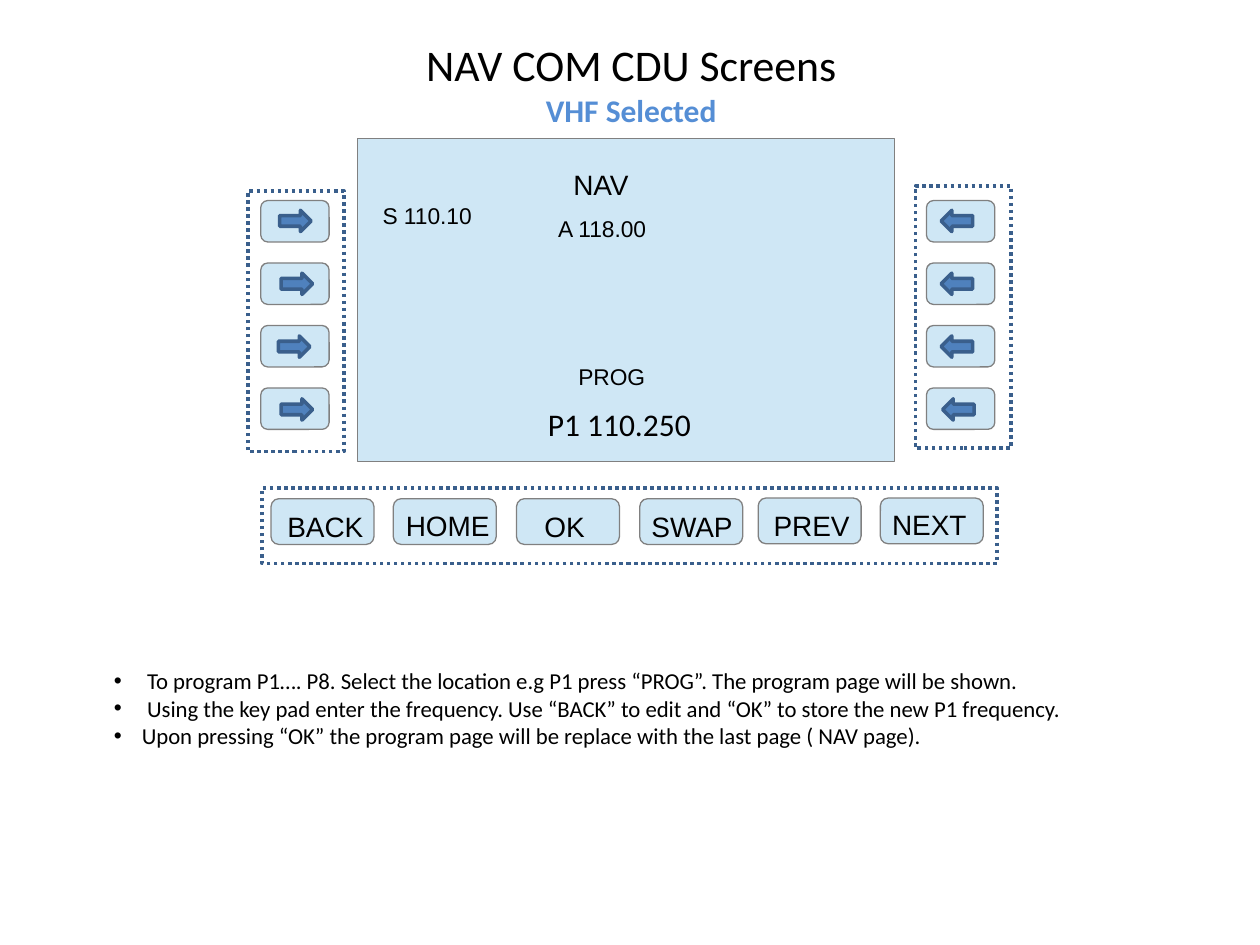
import pptx
import pptx.util
import pptx.dml.color
import pptx.enum.dml
import pptx.enum.shapes
import pptx.enum.text
from lxml import etree

Pt = pptx.util.Pt
Kind = pptx.enum.shapes.MSO_SHAPE
Align = pptx.enum.text.PP_ALIGN

theme = {
    "pale": "CFE7F5", "gray": "808080", "blue": "4F81BD", "navy": "3A5F8C",
    "sky": "558ED5", "ink": "000000",
    "title": 25, "sub": 18, "key": 16, "note": 13,
    "sans": "Arial", "body": "Calibri",
}

deck = pptx.Presentation()
deck.slide_width, deck.slide_height = Pt(720), Pt(540)
slide = deck.slides.add_slide(deck.slide_layouts[6])


def shape(kind, box, fill, edge, width):
    item = slide.shapes.add_shape(kind, *map(Pt, box))
    item.shadow.inherit = False
    if fill:
        item.fill.solid()
        item.fill.fore_color.rgb = pptx.dml.color.RGBColor.from_string(theme[fill])
    else:
        item.fill.background()
    item.line.color.rgb = pptx.dml.color.RGBColor.from_string(theme[edge])
    item.line.width = Pt(width)
    return item


def text(box, lines, wrap=False, pad=(6.5, 3.2), align=Align.LEFT):
    """Each line is (words, size, font, colour, bold)."""
    frame = slide.shapes.add_textbox(*map(Pt, box)).text_frame
    form = {"word_wrap": wrap, "margin_left": Pt(pad[0]), "margin_right": Pt(pad[0]),
            "margin_top": Pt(pad[1]), "margin_bottom": Pt(pad[1])}
    for name, value in form.items():
        setattr(frame, name, value)
    for i, (words, size, face, ink, bold) in enumerate(lines):
        para = frame.add_paragraph() if i else frame.paragraphs[0]
        para.alignment = align
        run = para.add_run()
        run.text = words
        for name, value in {"size": Pt(theme[size]), "name": theme[face], "bold": bold}.items():
            setattr(run.font, name, value)
        run.font.color.rgb = pptx.dml.color.RGBColor.from_string(theme[ink])
    return frame


# Title
text((36.7, 18, 648, 90), [
    ("NAV COM CDU Screens", "title", "body", "ink", False),
    ("VHF Selected", "sub", "body", "sky", True),
], wrap=True, pad=(7.2, 3.8), align=Align.CENTER)

# Display and its readings
shape(Kind.RECTANGLE, (204.5, 79.2, 306.7, 184.7), "pale", "gray", 0)
for words, x, y, w, h, size, face, pad in [
    ("NAV", 321.1, 92.5, 48, 25.2, "key", "sans", (6.5, 3.2)),
    ("S 110.10", 212.1, 112.3, 68, 21.6, "note", "sans", (6.5, 3.2)),
    ("A 118.00", 312.5, 119.5, 70, 21.6, "note", "sans", (6.5, 3.2)),
    ("PROG", 324, 204, 56, 21.6, "note", "sans", (6.5, 3.2)),
    ("P1 110.250", 306, 228.2, 100, 28.8, "sub", "body", (7.2, 3.6)),
]:
    text((x, y, w, h), [(words, size, face, "ink", False)], pad=pad)

# Side keys with arrows
for left, kind, marks in [
    (149, Kind.RIGHT_ARROW, (159.8, 160.6, 159.1, 160.6)),
    (529.4, Kind.LEFT_ARROW, (537.8, 537.8, 537.8, 538.6)),
]:
    for row, mark in enumerate(marks):
        key = shape(Kind.ROUNDED_RECTANGLE, (left, 114.6 + 35.7 * row, 39.1, 23.7),
                    "pale", "gray", 0)
        key.adjustments[0] = 0.17
        shape(kind, (mark, 120.2 + 35.9 * row, 18, 12.2), "blue", "navy", 2)

# Bottom keys: word, key left and top, label left, top and width
for words, x, y, tx, ty, tw in [
    ("BACK", 154.9, 285, 157.7, 288, 62),
    ("HOME", 224.8, 285, 225.4, 287.3, 66),
    ("OK", 295.2, 285, 304.6, 288, 46),
    ("SWAP", 365.6, 285, 365.8, 288, 66),
    ("PREV", 433.3, 284.6, 435.6, 287.3, 62),
    ("NEXT", 503.1, 284.6, 503.3, 286.6, 62),
]:
    key = shape(Kind.ROUNDED_RECTANGLE, (x, y, 58.8, 26.1), "pale", "gray", 0)
    key.adjustments[0] = 0.17
    text((tx, ty, tw, 25.2), [(words, "key", "sans", "ink", False)])

# Dotted frames around the key groups
for box in [(141.8, 109.1, 54.7, 149), (523.1, 106.2, 54.7, 149.8),
            (149.8, 278.8, 420, 43.2)]:
    frame = shape(Kind.RECTANGLE, box, None, "navy", 2)
    frame.line.dash_style = pptx.enum.dml.MSO_LINE.ROUND_DOT

# Notes
notes = [
    ("To program P1…. P8. Select the location e.g P1 press “PROG”. The program page will be shown.", 19),
    ("Using the key pad enter the frequency. Use “BACK” to edit and “OK” to store the new P1 frequency.", 19),
    ("Upon pressing “OK” the program page will be replace with the last page ( NAV page).", 16),
]
frame = text((58.6, 377.7, 559.4, 54), [(words, "note", "body", "ink", False) for words, _ in notes],
             wrap=True, pad=(6.5, 3.6))
for para, (_, gap) in zip(frame.paragraphs, notes):
    props = para._p.get_or_add_pPr()
    props.set("marL", str(Pt(gap)))
    props.set("indent", str(-Pt(gap)))
    for tag, name, value in [("buFont", "typeface", theme["sans"]), ("buChar", "char", "•")]:
        etree.SubElement(props, pptx.oxml.ns.qn("a:" + tag)).set(name, value)

deck.save("out.pptx")
